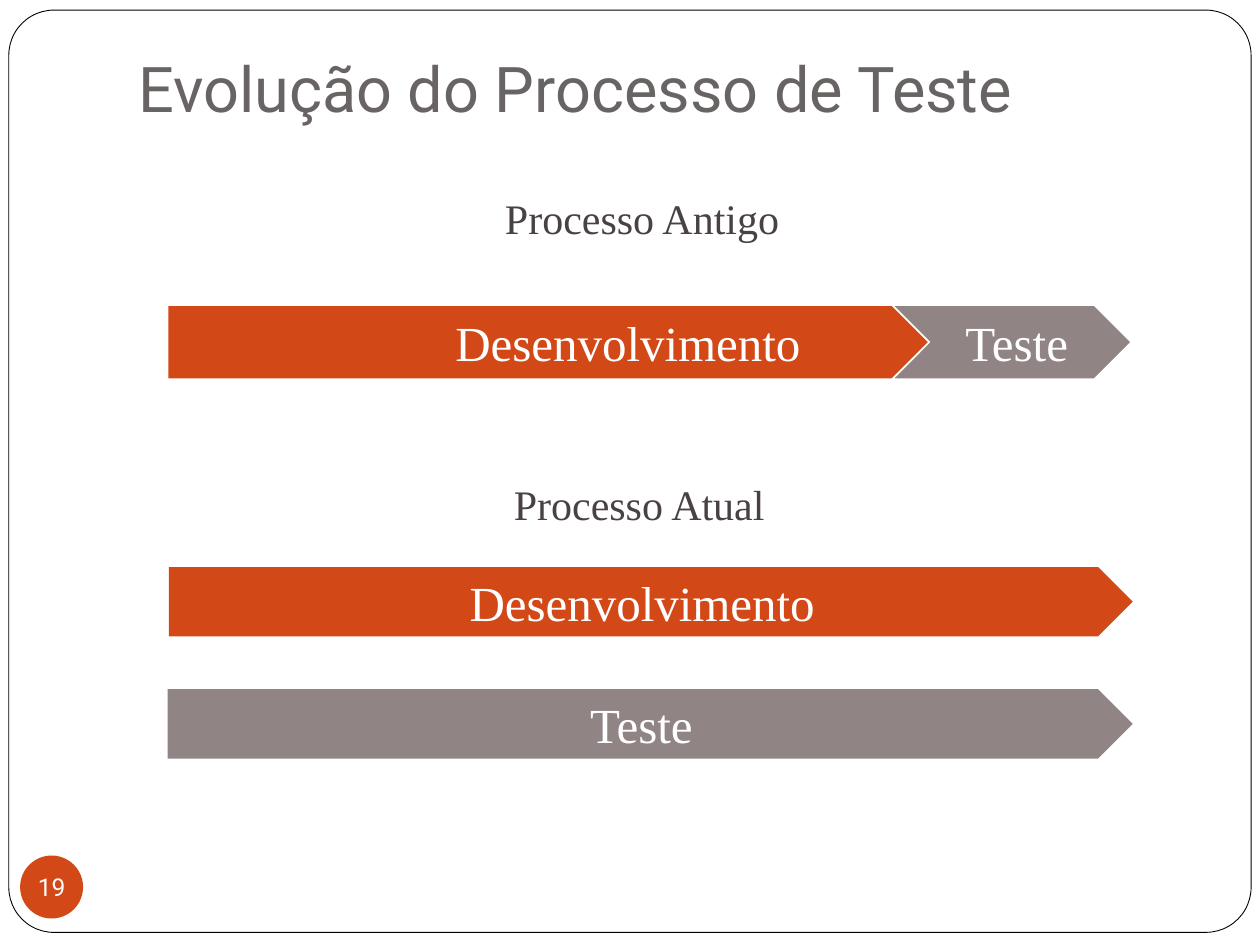
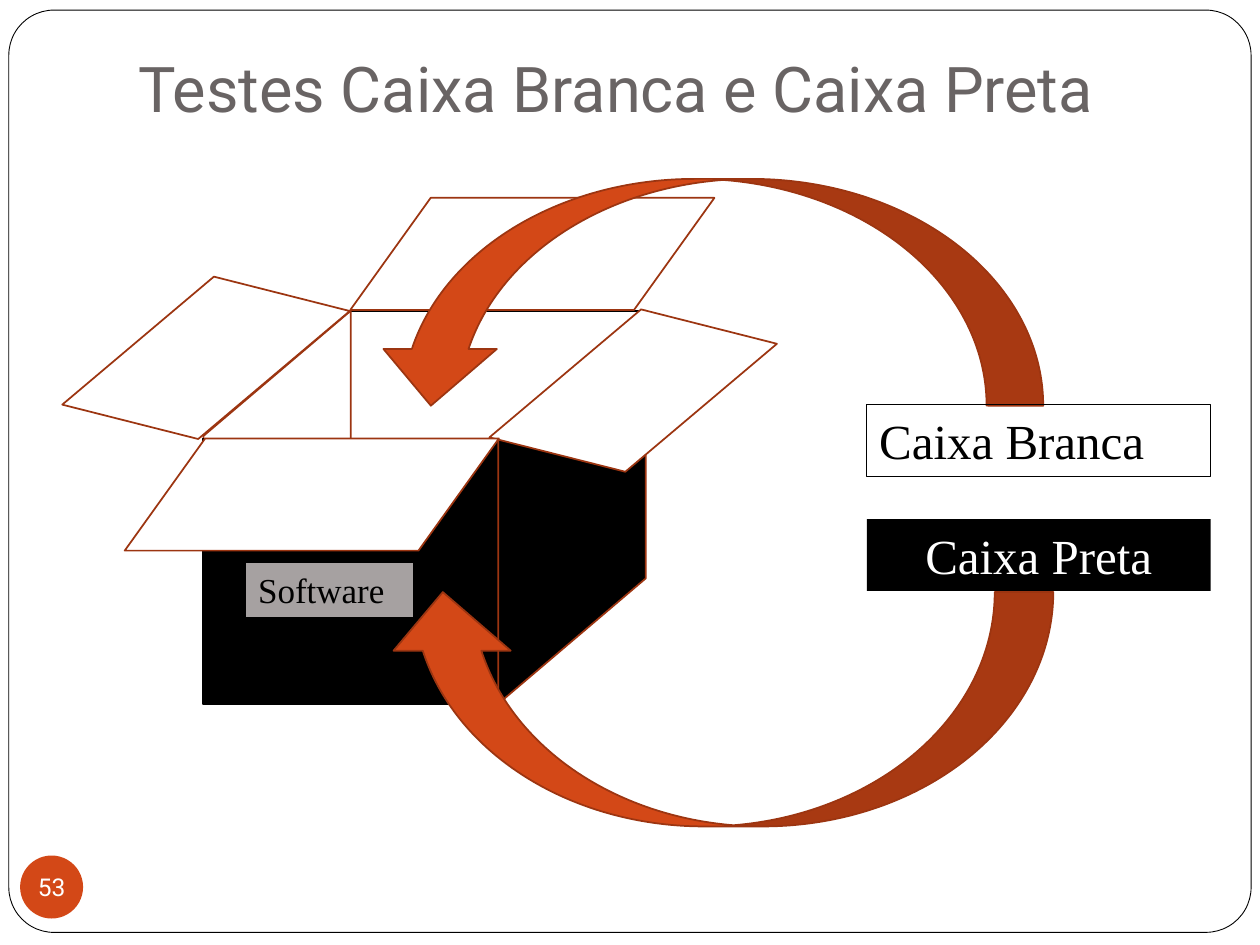
from pptx import Presentation
from pptx.dml.color import RGBColor
from pptx.enum.shapes import MSO_SHAPE
from pptx.enum.text import MSO_ANCHOR, PP_ALIGN
from pptx.oxml.ns import qn
from pptx.util import Pt

WHITE = RGBColor(0xFF, 0xFF, 0xFF)
BLACK = RGBColor(0, 0, 0)
ORANGE = RGBColor(0xD3, 0x48, 0x17)
RUST = RGBColor(0x9C, 0x35, 0x11)
TAUPE = RGBColor(0x91, 0x84, 0x85)
SILVER = RGBColor(0xA6, 0xA1, 0xA1)
GRAY = RGBColor(0x69, 0x64, 0x64)
DARK = RGBColor(0x49, 0x41, 0x42)
SANS = "Roboto"
SERIF = "Times New Roman"
INSET = (7.2, 3.6, 7.2, 3.6)
LEFT, MID = PP_ALIGN.LEFT, PP_ALIGN.CENTER
TOP, CENTER, BOTTOM = MSO_ANCHOR.TOP, MSO_ANCHOR.MIDDLE, MSO_ANCHOR.BOTTOM


def put_text(shape, text, size, color, font=SERIF, align=LEFT, anchor=TOP,
             inset=INSET, wrap=True):
    """Write one styled line of text into a shape."""
    frame = shape.text_frame
    frame.text = text
    frame.word_wrap = wrap
    frame.vertical_anchor = anchor
    (frame.margin_left, frame.margin_top,
     frame.margin_right, frame.margin_bottom) = map(Pt, inset)
    line = frame.paragraphs[0]
    line.alignment = align
    for run in line.runs:
        run.font.name = font
        run.font.size = Pt(size)
        run.font.color.rgb = color


def add_box(slide, kind, place, fill=None, line=None, width=1, adj=None,
            turn=0, flip=""):
    """Add a preset shape, optionally turned or flipped along H and V."""
    shape = slide.shapes.add_shape(kind, *map(Pt, place))
    shape.shadow.inherit = False
    if fill is None:
        shape.fill.background()
    else:
        shape.fill.solid()
        shape.fill.fore_color.rgb = fill
    if line is None:
        shape.line.fill.background()
    else:
        shape.line.color.rgb = line
        shape.line.width = Pt(width)
    if adj is not None:
        shape.adjustments[0] = adj
    shape.rotation = turn
    form = shape.element.spPr.find(qn("a:xfrm"))
    for axis in flip:
        form.set("flip" + axis, "1")
    return shape


def add_label(slide, place, text, size, color, **style):
    """Add a plain text box."""
    put_text(slide.shapes.add_textbox(*map(Pt, place)), text, size, color, **style)


def add_bar(slide, kind, place, text, fill, line=None, inset=INSET):
    """Add a process arrow with its name in the middle."""
    bar = add_box(slide, kind, place, fill, line)
    put_text(bar, text, 28, WHITE, align=MID, anchor=CENTER, inset=inset)


def add_flap(slide, place, fill=WHITE, adj=0.717, **pose):
    """Add a slanted face of the carton."""
    add_box(slide, MSO_SHAPE.PARALLELOGRAM, place, fill, RUST, adj=adj, **pose)


def add_page(deck, title):
    """Add a blank slide with its frame and title."""
    slide = deck.slides.add_slide(deck.slide_layouts[6])
    add_box(slide, MSO_SHAPE.ROUNDED_RECTANGLE, (5.04, 5.76, 709.92, 527.04),
            WHITE, BLACK, 0.5, 0.049)
    add_label(slide, (72, 21.6, 612, 56.88), title, 36, GRAY, font=SANS,
              anchor=BOTTOM, inset=(7.2, 3.6, 7.2, 7.2))
    return slide


def add_badge(slide, number):
    """Add the round page number."""
    disc = add_box(slide, MSO_SHAPE.OVAL, (11.52, 488.88, 36, 36), ORANGE)
    put_text(disc, number, 14, WHITE, font=SANS, align=MID, anchor=CENTER,
             inset=(0, 0, 0, 0), wrap=False)


def draw_steps(deck):
    """Build the slide on old and current processes."""
    slide = add_page(deck, "Evolução do Processo de Teste")
    plate = MSO_SHAPE.PENTAGON
    add_bar(slide, plate, (96.48, 324, 550.8, 39.6), "Desenvolvimento", ORANGE)
    add_bar(slide, plate, (95.76, 393.84, 551.52, 39.6), "Teste", TAUPE)
    add_bar(slide, plate, (95.76, 174.24, 517.68, 42.48), "Desenvolvimento",
            ORANGE, WHITE, (22, 5.76, 2.88, 5.76))
    add_bar(slide, MSO_SHAPE.CHEVRON, (509.76, 174.24, 136.8, 42.48), "Teste",
            TAUPE, WHITE, (8.64, 5.76, 2.88, 5.76))
    for left, top, text in ((281.52, 106.56, "Processo Antigo"),
                            (286.56, 270, "Processo Atual")):
        add_label(slide, (left, top, 196.56, 36.72), text, 24, DARK)
    add_badge(slide, "19")


def draw_carton(slide):
    """Draw the open carton from its back to its front."""
    rect = MSO_SHAPE.RECTANGLE
    side = {"adj": 0.85, "turn": 90, "flip": "V"}
    add_box(slide, rect, (200.16, 177.84, 168.48, 151.92), WHITE, BLACK)
    add_flap(slide, (46.08, 247.68, 224.64, 84.24), **side)
    add_box(slide, rect, (115.92, 250.56, 169.2, 151.92), BLACK, BLACK)
    add_flap(slide, (214.56, 247.68, 224.64, 84.24), BLACK, **side)
    for left, top in ((44.64, 158.4), (288.72, 177.12)):
        add_flap(slide, (left, top, 146.16, 92.16), turn=194.2)
    add_flap(slide, (200.16, 113.04, 208.08, 64.08))
    add_flap(slide, (71.28, 250.56, 213.84, 64.08))


def draw_tests(deck):
    """Build the slide on white and black box tests."""
    slide = add_page(deck, "Testes Caixa Branca e Caixa Preta")
    draw_carton(slide)
    rect, curve = MSO_SHAPE.RECTANGLE, MSO_SHAPE.CURVED_DOWN_ARROW
    add_box(slide, curve, (213.84, 102.24, 382.32, 129.6), ORANGE, RUST, flip="H")
    white = add_box(slide, rect, (495.36, 231.12, 196.56, 41.04), None, BLACK, 0.75)
    put_text(white, "Caixa Branca", 28, BLACK)
    add_box(slide, curve, (219.6, 338.4, 382.32, 133.92), ORANGE, RUST, flip="HV")
    black = add_box(slide, rect, (495.36, 296.64, 196.56, 41.04), BLACK)
    put_text(black, "Caixa Preta", 28, WHITE, align=MID)
    soft = add_box(slide, rect, (140.4, 321.12, 95.76, 31.68), SILVER, BLACK, 0.75)
    put_text(soft, "Software", 20, BLACK)
    add_badge(slide, "53")


def main():
    """Build and save the deck."""
    deck = Presentation()
    deck.slide_width, deck.slide_height = Pt(720), Pt(540)
    draw_steps(deck)
    draw_tests(deck)
    deck.save("out.pptx")


if __name__ == "__main__":
    main()
